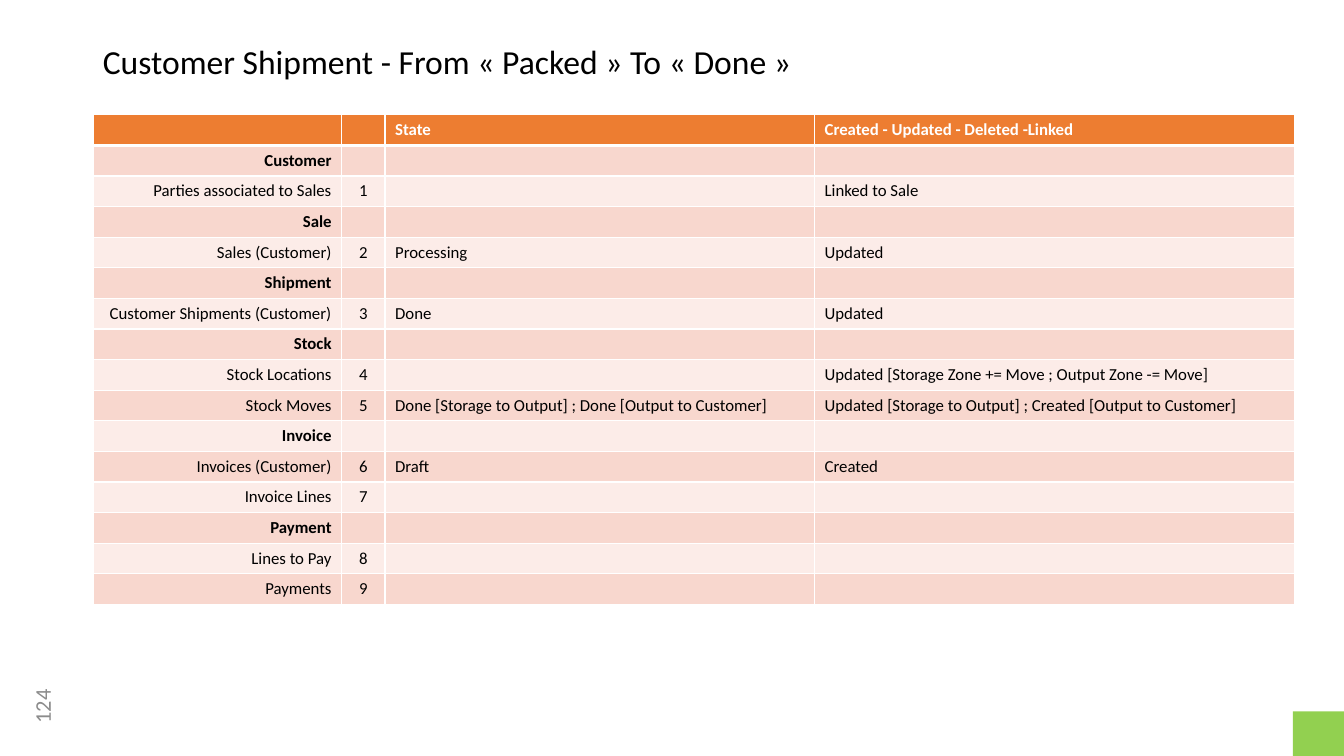
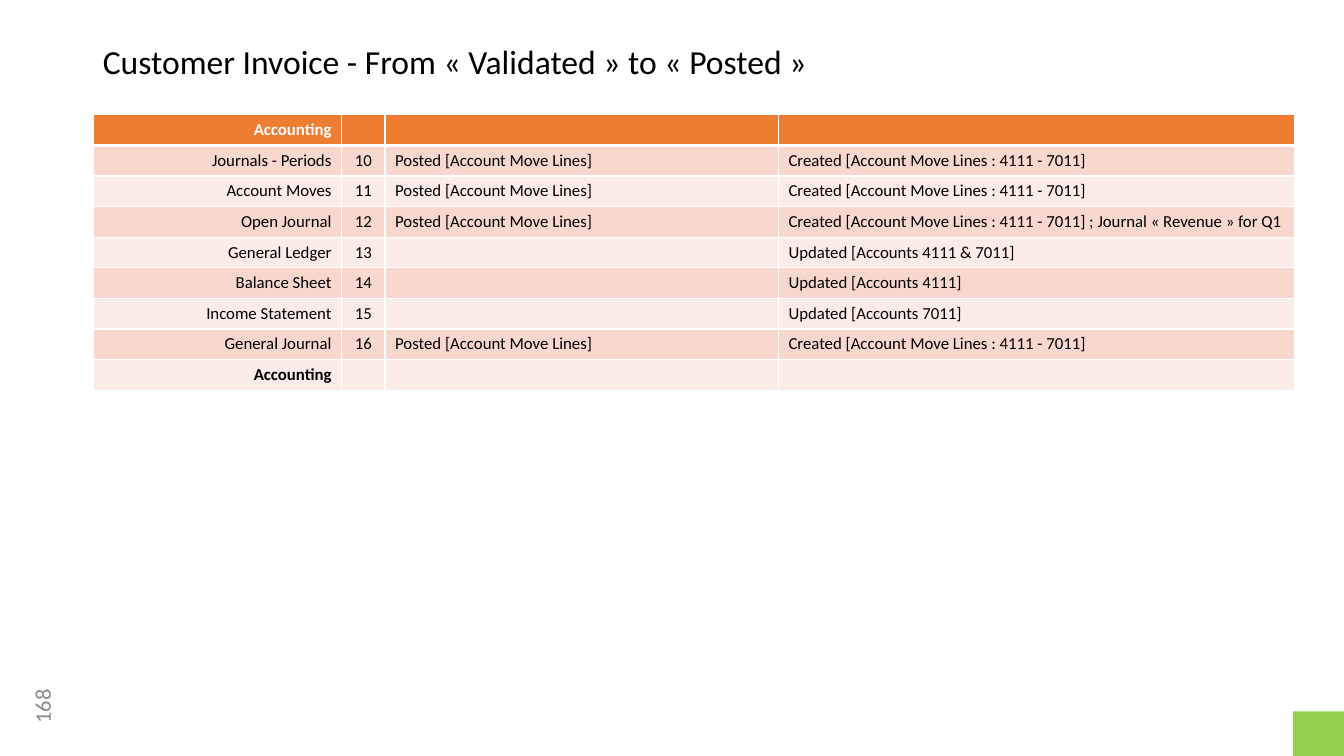
from dataclasses import dataclass

import lxml.etree
import pptx
import pptx.dml.color
import pptx.enum.shapes
import pptx.enum.text
import pptx.oxml.ns
import pptx.util

Pt = pptx.util.Pt
RGBColor = pptx.dml.color.RGBColor
ALIGN = pptx.enum.text.PP_ALIGN
ANCHOR = pptx.enum.text.MSO_ANCHOR
qn = pptx.oxml.ns.qn

BLACK = RGBColor(0x00, 0x00, 0x00)
WHITE = RGBColor(0xFF, 0xFF, 0xFF)
GREY = RGBColor(0x8C, 0x8C, 0x8C)
GREEN = RGBColor(0x92, 0xD0, 0x50)
ORANGE = RGBColor(0xED, 0x7D, 0x31)
BANDS = (RGBColor(0xFC, 0xEC, 0xE8), RGBColor(0xF8, 0xD7, 0xCE))

FONT = "Calibri"
TABLE_SIZE = 12
ROW_HEIGHT = 21.8
THIN, THICK = 1, 3
COLUMN_ALIGNS = (ALIGN.RIGHT, ALIGN.CENTER, ALIGN.LEFT, ALIGN.LEFT)


@dataclass
class Box:
    left: float
    top: float
    width: float
    height: float

    def lengths(self):
        return Pt(self.left), Pt(self.top), Pt(self.width), Pt(self.height)


PAGE = Box(0, 0, 960, 540)
TITLE = Box(66.24, 28.8, 828, 36.72)
TABLE = Box(66.6, 82, 858, 0)
NUMBER = Box(2.88, 490.3, 54, 28.8)
CORNER = Box(923.5, 508.2, PAGE.width - 923.5, PAGE.height - 508.2)

SHIPMENT_COLUMNS = (177.5, 31, 306.8, 342.7)
SHIPMENT_ROWS = (
    ("", "", "State", "Created - Updated - Deleted -Linked"),
    ("Customer", "", "", ""),
    ("Parties associated to Sales", "1", "", "Linked to Sale"),
    ("Sale", "", "", ""),
    ("Sales (Customer)", "2", "Processing", "Updated"),
    ("Shipment", "", "", ""),
    ("Customer Shipments (Customer)", "3", "Done", "Updated"),
    ("Stock", "", "", ""),
    ("Stock Locations", "4", "", "Updated [Storage Zone += Move ; Output Zone -= Move]"),
    ("Stock Moves", "5", "Done [Storage to Output] ; Done [Output to Customer]",
     "Updated [Storage to Output] ; Created [Output to Customer]"),
    ("Invoice", "", "", ""),
    ("Invoices (Customer)", "6", "Draft", "Created"),
    ("Invoice Lines", "7", "", ""),
    ("Payment", "", "", ""),
    ("Lines to Pay", "8", "", ""),
    ("Payments", "9", "", ""),
)

INVOICE_COLUMNS = (177.5, 31, 281, 368.5)
POSTED = "Posted [Account Move Lines]"
CREATED = "Created [Account Move Lines : 4111 - 7011]"
INVOICE_ROWS = (
    ("Accounting", "", "", ""),
    ("Journals - Periods", "10", POSTED, CREATED),
    ("Account Moves", "11", POSTED, CREATED),
    ("Open Journal", "12", POSTED, CREATED + " ; Journal « Revenue » for Q1"),
    ("General Ledger", "13", "", "Updated [Accounts 4111 & 7011]"),
    ("Balance Sheet", "14", "", "Updated [Accounts 4111]"),
    ("Income Statement", "15", "", "Updated [Accounts 7011]"),
    ("General Journal", "16", POSTED, CREATED),
    ("Accounting", "", "", ""),
)


def format_text(para, size, color, align, bold=False):
    para.alignment = align
    for span in para.runs:
        span.font.name = FONT
        span.font.size = Pt(size)
        span.font.bold = bold
        span.font.color.rgb = color


def add_title(page, box, text):
    title = page.shapes.title
    title.left, title.top, title.width, title.height = box.lengths()
    frame = title.text_frame
    frame.text = text
    frame.auto_size = pptx.enum.text.MSO_AUTO_SIZE.NONE
    frame.vertical_anchor = ANCHOR.TOP
    frame.paragraphs[0].line_spacing = 0.9
    format_text(frame.paragraphs[0], 24, BLACK, ALIGN.LEFT)


def add_page_number(page, box, number):
    label = page.shapes.add_textbox(*box.lengths())
    label.rotation = 270
    frame = label.text_frame
    frame.word_wrap = True
    frame.vertical_anchor = ANCHOR.MIDDLE
    frame.text = number
    format_text(frame.paragraphs[0], 16, GREY, ALIGN.CENTER)


def add_corner(page, box):
    corner = page.shapes.add_shape(
        pptx.enum.shapes.MSO_SHAPE.RECTANGLE, *box.lengths())
    corner.shadow.inherit = False
    corner.fill.solid()
    corner.fill.fore_color.rgb = GREEN
    corner.line.fill.background()


def set_borders(cell, top, bottom):
    properties = cell._tc.get_or_add_tcPr()
    widths = {"a:lnL": THIN, "a:lnR": THIN, "a:lnT": top, "a:lnB": bottom}
    for tag, width in widths.items():
        line = lxml.etree.SubElement(properties, qn(tag), w=str(Pt(width)))
        fill = lxml.etree.SubElement(line, qn("a:solidFill"))
        lxml.etree.SubElement(fill, qn("a:srgbClr"), val=str(WHITE))


def fill_cell(cell, text, row, align, bold):
    header = row == 0
    set_borders(cell, THICK if row == 1 else THIN, THICK if header else THIN)
    cell.fill.solid()
    cell.fill.fore_color.rgb = ORANGE if header else BANDS[row % 2]
    para = cell.text_frame.paragraphs[0]
    if text:
        para.text = text
        format_text(para, TABLE_SIZE, WHITE if header else BLACK, align, bold)
    else:
        lxml.etree.SubElement(
            para._p, qn("a:endParaRPr"), sz=str(TABLE_SIZE * 100))


def add_status_table(page, box, columns, rows):
    frame = page.shapes.add_table(
        len(rows), len(columns), Pt(box.left), Pt(box.top),
        Pt(box.width), Pt(ROW_HEIGHT * len(rows)))
    table = frame.table
    table.horz_banding = False
    for column, width in zip(table.columns, columns):
        column.width = Pt(width)
    for index, texts in enumerate(rows):
        table.rows[index].height = Pt(ROW_HEIGHT)
        is_section = not texts[1]
        for position, text in enumerate(texts):
            fill_cell(table.cell(index, position), text, index,
                      COLUMN_ALIGNS[position], is_section)


def add_status_page(deck, title, number, columns, rows):
    page = deck.slides.add_slide(deck.slide_layouts.get_by_name("Title Only"))
    add_title(page, TITLE, title)
    add_status_table(page, TABLE, columns, rows)
    add_page_number(page, NUMBER, number)
    add_corner(page, CORNER)


def main():
    deck = pptx.Presentation()
    deck.slide_width, deck.slide_height = Pt(PAGE.width), Pt(PAGE.height)
    add_status_page(deck, "Customer Shipment - From « Packed » To « Done »",
                    "124", SHIPMENT_COLUMNS, SHIPMENT_ROWS)
    add_status_page(deck, "Customer Invoice - From « Validated » to « Posted »",
                    "168", INVOICE_COLUMNS, INVOICE_ROWS)
    deck.save("out.pptx")


if __name__ == "__main__":
    main()
